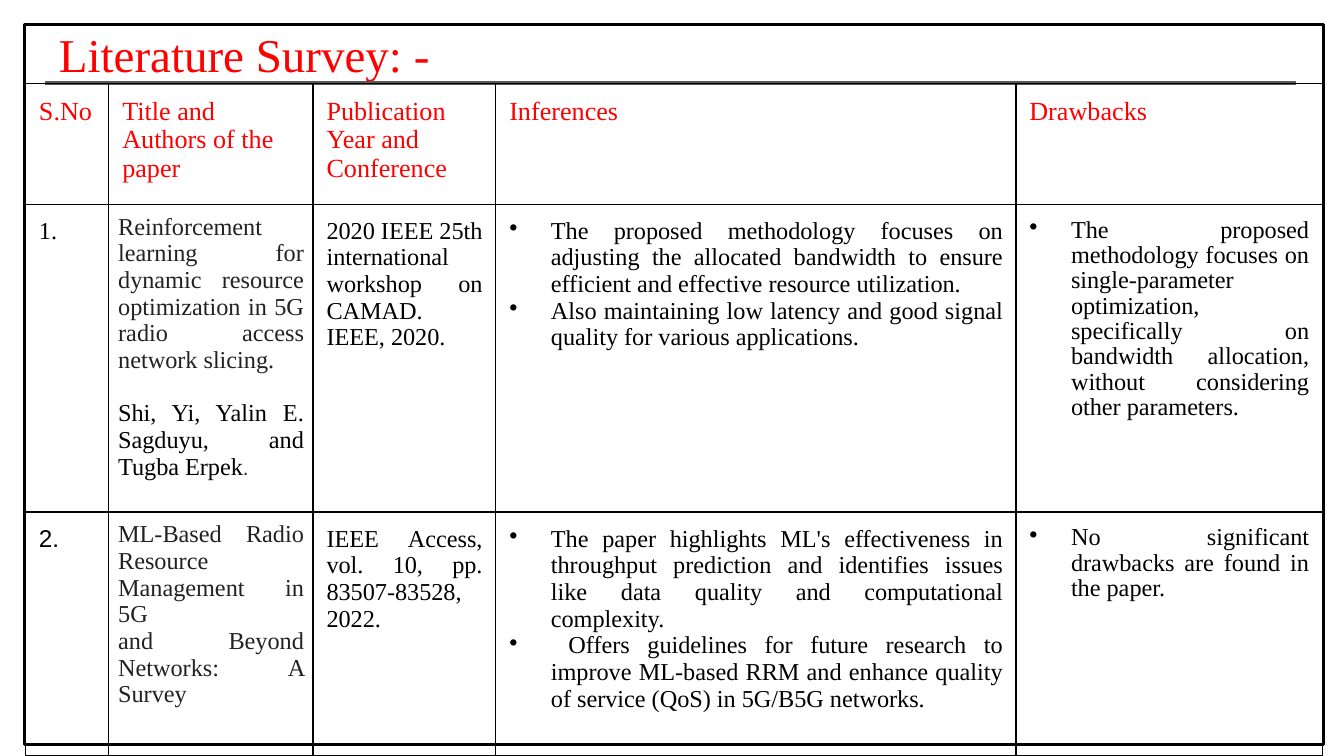
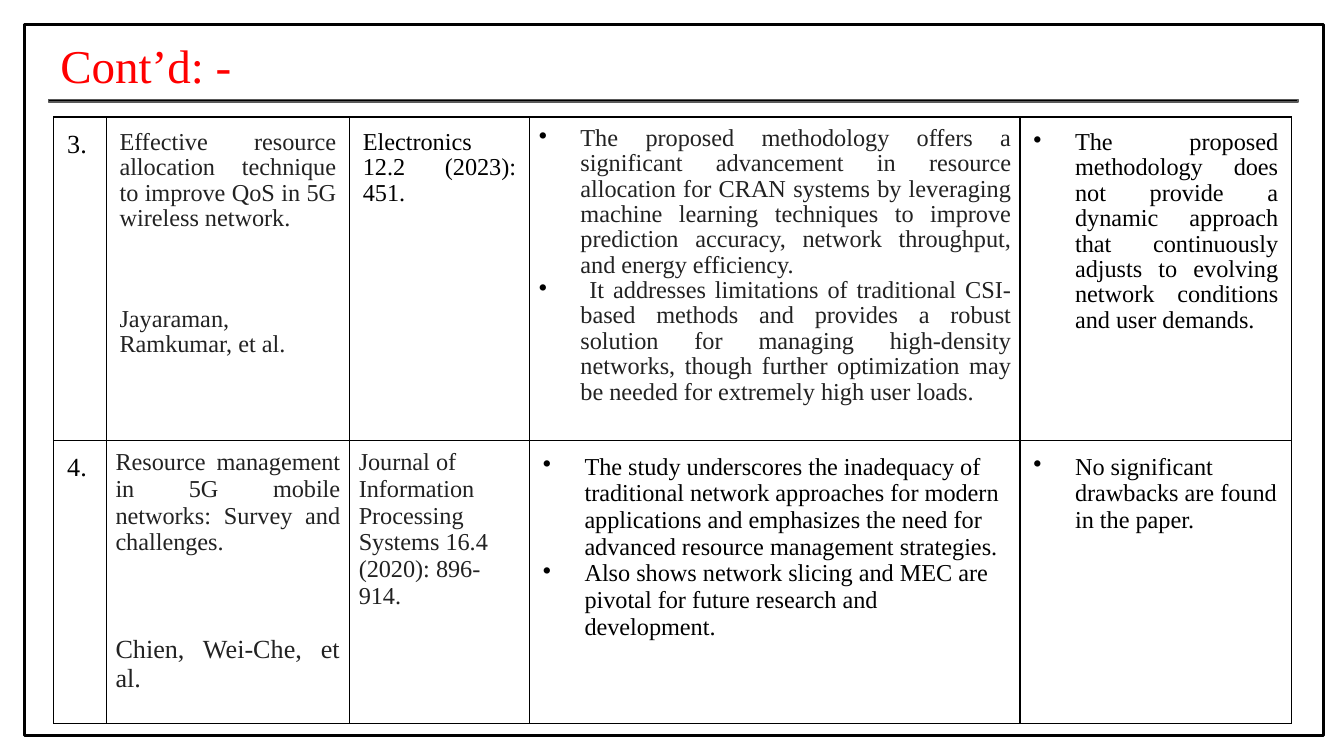
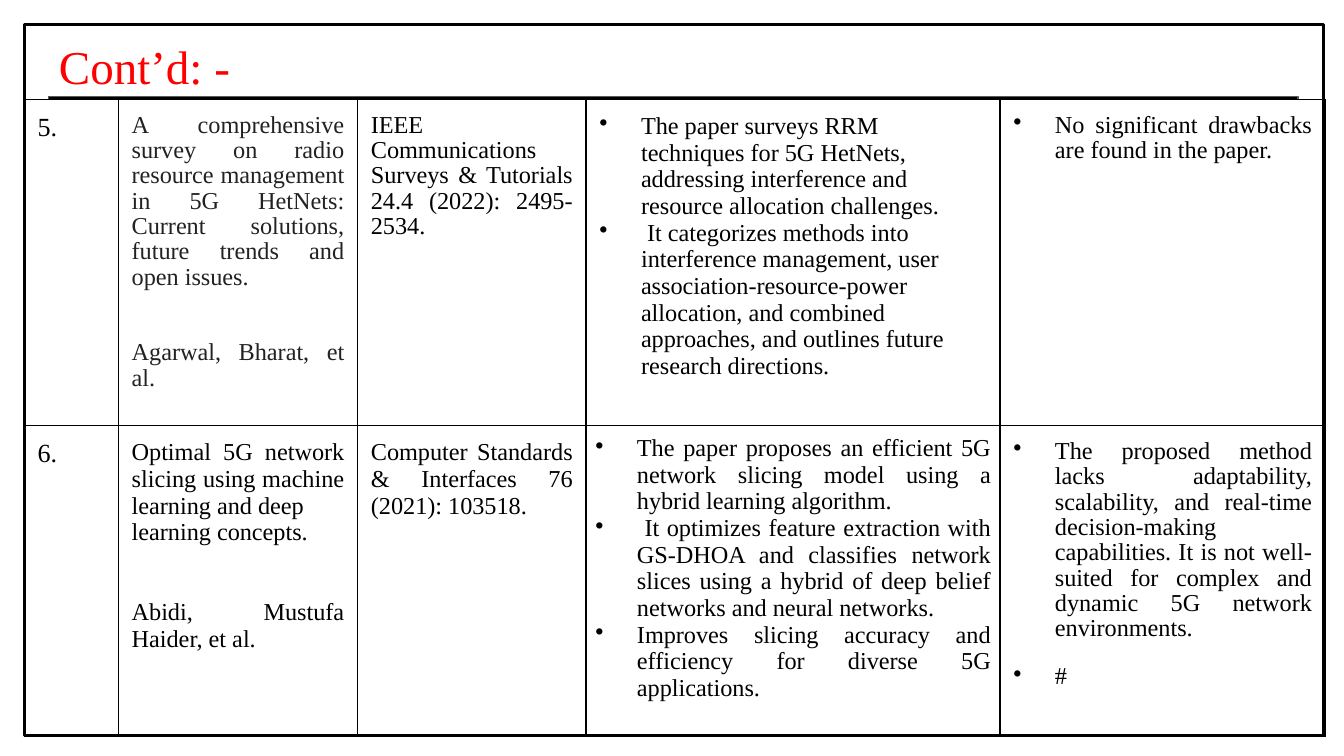
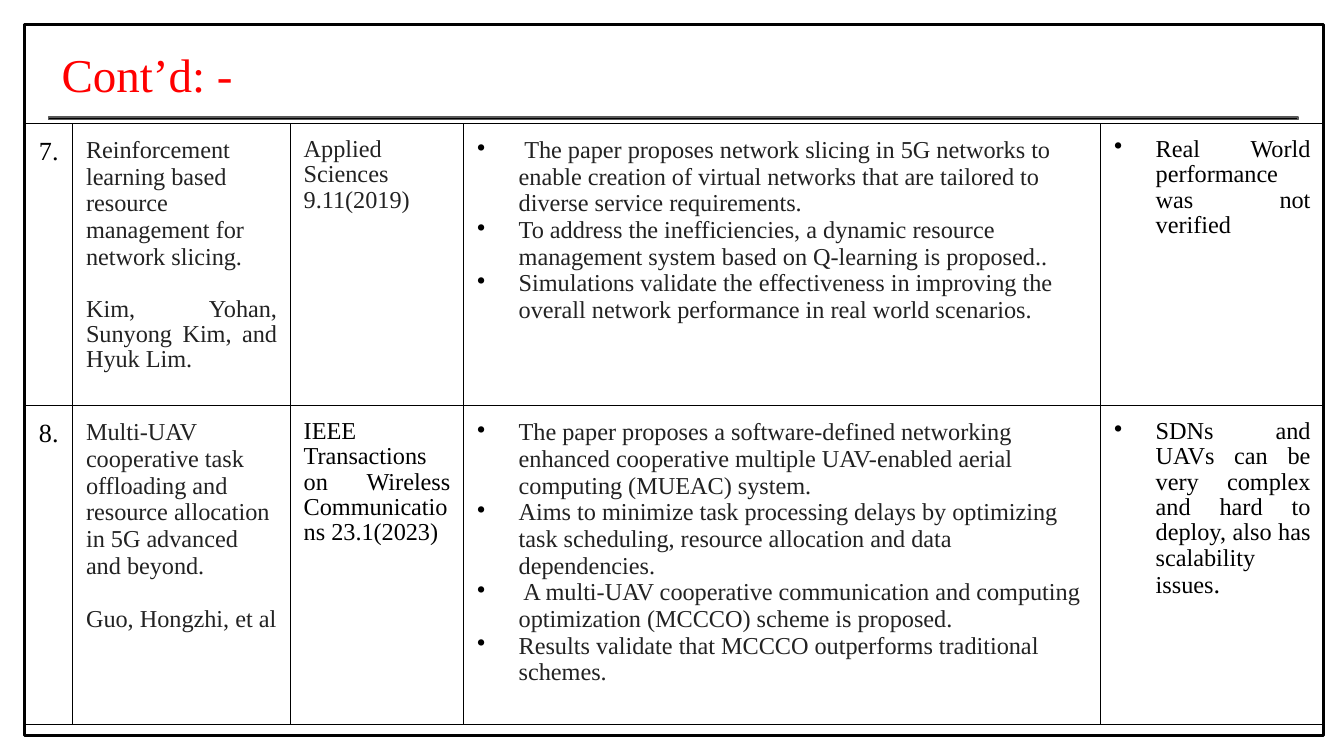
"""Build the four literature survey slides."""
import dataclasses
import functools

import lxml.etree
import pptx
import pptx.dml.color
import pptx.enum.shapes
import pptx.enum.text
import pptx.oxml.ns
import pptx.util

Inches = pptx.util.Inches
Pt = pptx.util.Pt
qn = pptx.oxml.ns.qn


@dataclasses.dataclass(frozen=True)
class Theme:
    serif: str = "Times New Roman"
    sans: str = "Arial"
    red: str = "FF0000"
    black: str = "000000"
    dark: str = "222222"
    grey: str = "595959"
    title: float = 25.2
    head: float = 14
    body: float = 13
    small: float = 11
    thin: float = 0.75
    thick: float = 1.5
    indent: float = 0.31
    tight: float = 0.95
    blank: float = 14.2
    after: float = 12


THEME = Theme()


@dataclasses.dataclass
class Cell:
    texts: list
    ink: str = THEME.black
    size: float = THEME.body
    font: str = THEME.serif
    pad: float = 0.1
    just: bool = False
    tight: bool = False
    dot: bool = False
    before: float = 0
    after: float = 0
    tail: tuple = ()
    last: dict = dataclasses.field(default_factory=dict)


Head = functools.partial(Cell, ink=THEME.red, size=THEME.head)
Num = functools.partial(Cell, size=THEME.head)
Just = functools.partial(Cell, just=True)
Tight = functools.partial(Just, tight=True)
Dots = functools.partial(Cell, dot=True)
Flush = functools.partial(Dots, just=True)
Flaw = functools.partial(Flush, tight=True, after=THEME.after)


def rgb(ink):
    return pptx.dml.color.RGBColor.from_string(ink)


def add(parent, tag, **attrs):
    return lxml.etree.SubElement(parent, qn(tag), attrs)


class Deck:
    def __init__(self, theme):
        self.theme = theme
        self.file = pptx.Presentation()
        self.file.slide_width = Inches(10)
        self.file.slide_height = Inches(10) * 9 // 16
        self.slide = None

    def start(self):
        self.slide = self.file.slides.add_slide(self.file.slide_layouts[6])

    def style(self, font, face, size, ink):
        font.name = face
        font.size = Pt(size)
        font.color.rgb = rgb(ink)

    def title(self, text, left, top):
        box = self.slide.shapes.add_textbox(
            Inches(left), Inches(top), Inches(9.32), Inches(0.63))
        frame = box.text_frame
        frame.word_wrap = True
        self.pad(frame, 0.1)
        frame.text = text
        self.style(frame.paragraphs[0].font, self.theme.serif,
                   self.theme.title, self.theme.red)

    def pad(self, item, size):
        for side in ("left", "top", "right", "bottom"):
            setattr(item, "margin_" + side, Inches(size))

    def box(self, left, top, width, height, ink, weight, fill=None):
        shape = self.slide.shapes.add_shape(
            pptx.enum.shapes.MSO_SHAPE.RECTANGLE, Inches(left), Inches(top),
            Inches(width), Inches(height))
        shape.shadow.inherit = False
        if fill:
            shape.fill.solid()
            shape.fill.fore_color.rgb = rgb(fill)
        else:
            shape.fill.background()
        shape.line.color.rgb = rgb(ink)
        shape.line.width = Pt(weight)

    def rule(self, left, top):
        self.box(left, top, 9.3, 0.02, self.theme.grey, self.theme.thin,
                 self.theme.black)

    def frame(self, height=5.29):
        self.box(0.18, 0.18, 9.67, height, self.theme.black, self.theme.thick)

    def table(self, left, top, cols, rows, cells):
        table = self.slide.shapes.add_table(
            len(rows), len(cols), Inches(left), Inches(top),
            Inches(sum(cols)), Inches(sum(rows))).table
        table.first_row = table.horz_banding = False
        for col, width in zip(table.columns, cols):
            col.width = Inches(width)
        for row, height, line in zip(table.rows, rows, cells):
            row.height = Inches(height)
            for cell, data in zip(row.cells, line):
                self.cell(cell, data)

    def cell(self, cell, data):
        self.pad(cell, data.pad)
        cell.fill.background()
        self.edge(cell)
        frame = cell.text_frame
        for i, text in enumerate(data.texts):
            para = frame.add_paragraph() if i else frame.paragraphs[0]
            end = i == len(data.texts) - 1
            look = dataclasses.replace(data, **data.last) if end else data
            self.para(para, text, look, look.tail if end else ())

    def edge(self, cell):
        props = cell._tc.get_or_add_tcPr()
        for i, side in enumerate("LRTB"):
            line = add(props, "a:ln" + side, w=str(Pt(self.theme.thin)))
            fill = add(line, "a:solidFill")
            add(fill, "a:srgbClr", val=self.theme.black)
            props.insert(i, line)

    def para(self, para, text, look, tail):
        para.text = text
        if look.just:
            para.alignment = pptx.enum.text.PP_ALIGN.JUSTIFY
        if look.tight:
            para.line_spacing = self.theme.tight
        if look.before:
            para.space_before = Pt(look.before)
        if look.after:
            para.space_after = Pt(look.after)
        if look.dot:
            self.dot(para)
        first = para.runs[0].font
        if tail:
            mark, size, face, ink = tail
            self.style(first, look.font, look.size, look.ink)
            run = para.add_run()
            run.text = mark
            self.style(run.font, face, size, ink)
        else:
            self.style(para.font, look.font, look.size, look.ink)
            first.size = Pt(look.size)
        add(para._p, "a:endParaRPr", sz=str(int(look.size * 100)))

    def dot(self, para):
        props = para._p.get_or_add_pPr()
        step = Inches(self.theme.indent)
        props.set("marL", str(step))
        props.set("indent", str(-step))
        add(add(props, "a:buClr"), "a:srgbClr", val=self.theme.black)
        add(props, "a:buChar", char="•")


def first(deck):
    t = deck.theme
    deck.start()
    deck.title("Literature Survey: -", 0.34, 0.09)
    deck.rule(0.34, 0.61)
    heads = ["S.No", "Title and Authors of the paper",
             "Publication Year and Conference", "Inferences", "Drawbacks"]
    deck.table(0.19, 0.62, [0.62, 1.52, 1.36, 3.87, 2.28], [0.87, 2.23, 1.81], [
        [Head([text]) for text in heads],
        [Cell(["1."]),
         Just(["Reinforcement learning for dynamic resource optimization in 5G radio access network slicing.",
               "Shi, Yi, Yalin E. Sagduyu, and Tugba Erpek"],
              ink=t.dark, pad=0.07, tail=(".", t.small, t.sans, t.dark),
              last={"ink": t.black, "before": t.blank}),
         Just(["2020 IEEE 25th international workshop on CAMAD. IEEE, 2020."]),
         Flush(["The proposed methodology focuses on adjusting the allocated bandwidth to ensure efficient and effective resource utilization.",
                "Also maintaining low latency and good signal quality for various applications."]),
         Flaw(["The proposed methodology focuses on single-parameter optimization, specifically on bandwidth allocation, without considering other parameters."])],
        [Cell(["2."], font=t.sans),
         Just(["ML-Based Radio Resource Management in 5G",
               "and Beyond Networks: A Survey"], ink=t.dark, pad=0.07),
         Just(["IEEE Access, vol. 10, pp. 83507-83528, 2022."]),
         Flush(["The paper highlights ML's effectiveness in throughput prediction and identifies issues like data quality and computational complexity.",
                " Offers guidelines for future research to improve ML-based RRM and enhance quality of service (QoS) in 5G/B5G networks."]),
         Flaw(["No significant drawbacks are found in the paper."])],
    ])
    deck.frame(5.36)


def second(deck):
    t = deck.theme
    deck.start()
    deck.title("Cont’d: -", 0.35, 0.17)
    deck.rule(0.36, 0.74)
    deck.table(0.4, 0.87, [0.39, 1.81, 1.34, 3.65, 2.02], [2.31, 2.11], [
        [Num(["3."]),
         Tight(["Effective resource allocation technique to improve QoS in 5G wireless network.",
                "Jayaraman, Ramkumar, et al."],
               ink=t.dark, last={"before": 3 * t.blank * t.tight}),
         Tight(["Electronics 12.2 (2023): 451."], after=t.after),
         Flush(["The proposed methodology offers a significant advancement in resource allocation for CRAN systems by leveraging machine learning techniques to improve prediction accuracy, network throughput, and energy efficiency.",
                " It addresses limitations of traditional CSI-based methods and provides a robust solution for managing high-density networks, though further optimization may be needed for extremely high user loads."],
               ink=t.dark, tight=True, pad=0.07),
         Flaw(["The proposed methodology does not provide a dynamic approach that continuously adjusts to evolving network conditions and user demands."])],
        [Num(["4."]),
         Just(["Resource management in 5G mobile networks: Survey and challenges.",
               "Chien, Wei-Che, et al."], ink=t.dark, pad=0.07,
              last={"size": t.head, "before": 3 * t.blank}),
         Cell(["Journal of Information Processing Systems 16.4 (2020): 896-914."],
              ink=t.dark, pad=0.07),
         Dots(["The study underscores the inadequacy of traditional network approaches for modern applications and emphasizes the need for advanced resource management strategies.",
               "Also shows network slicing and MEC are pivotal for future research and development."]),
         Dots(["No significant drawbacks are found in the paper."])],
    ])
    deck.frame()


def third(deck):
    t = deck.theme
    deck.start()
    deck.title("Cont’d: -", 0.34, 0.18)
    deck.rule(0.36, 0.72)
    deck.table(0.18, 0.74, [0.7, 1.78, 1.7, 3.08, 2.42], [2.3, 2.05], [
        [Num(["5."]),
         Tight(["A comprehensive survey on radio resource management in 5G HetNets: Current solutions, future trends and open issues.",
                "Agarwal, Bharat, et al."],
               ink=t.dark, last={"before": 2 * t.blank * t.tight}),
         Tight(["IEEE Communications Surveys & Tutorials 24.4 (2022): 2495-2534."],
               after=t.after),
         Dots(["The paper surveys RRM techniques for 5G HetNets, addressing interference and resource allocation challenges.",
               " It categorizes methods into interference management, user association-resource-power allocation, and combined approaches, and outlines future research directions."]),
         Flaw(["No significant drawbacks are found in the paper."])],
        [Num(["6."]),
         Just(["Optimal 5G network slicing using machine learning and deep",
               "learning concepts.", "Abidi, Mustufa Haider, et al."],
              last={"before": 2 * t.blank}),
         Tight(["Computer Standards & Interfaces 76 (2021): 103518."],
               tight=False, after=t.after),
         Flush(["The paper proposes an efficient 5G network slicing model using a hybrid learning algorithm.",
                " It optimizes feature extraction with GS-DHOA and classifies network slices using a hybrid of deep belief networks and neural networks.",
                "Improves slicing accuracy and efficiency for diverse 5G applications."],
               pad=0.07),
         Flaw(["The proposed method lacks adaptability, scalability, and real-time decision-making capabilities. It is not well-suited for complex and dynamic 5G network environments.",
               "#"])],
    ])
    deck.frame()


def fourth(deck):
    t = deck.theme
    deck.start()
    deck.title("Cont’d: -", 0.36, 0.24)
    deck.rule(0.36, 0.87)
    deck.table(0.19, 0.92, [0.35, 1.62, 1.29, 4.74, 1.66], [2.05, 2.33], [
        [Num(["7."]),
         Cell(["Reinforcement learning based resource management for network slicing.",
               "Kim, Yohan, Sunyong Kim, and Hyuk Lim."], ink=t.dark,
              last={"just": True, "tight": True, "before": t.blank}),
         Tight(["Applied Sciences 9.11(2019)"], ink=t.dark),
         Dots([" The paper proposes network slicing in 5G networks to enable creation of virtual networks that are tailored to diverse service requirements.",
               "To address the inefficiencies, a dynamic resource management system based on Q-learning is proposed..",
               "Simulations validate the effectiveness in improving the overall network performance in real world scenarios."],
              ink=t.dark),
         Flaw(["Real World performance was not verified"])],
        [Num(["8."]),
         Cell(["Multi-UAV cooperative task offloading and resource allocation in 5G advanced and beyond.",
               "Guo, Hongzhi, et al"], ink=t.dark, last={"before": t.blank}),
         Tight(["IEEE Transactions on Wireless Communications 23.1(2023)"],
               after=t.after),
         Dots(["The paper proposes a software-defined networking enhanced cooperative multiple UAV-enabled aerial computing (MUEAC) system.",
               "Aims to minimize task processing delays by optimizing task scheduling, resource allocation and data dependencies.",
               " A multi-UAV cooperative communication and computing optimization (MCCCO) scheme is proposed.",
               "Results validate that MCCCO outperforms traditional schemes."],
              ink=t.dark),
         Flaw(["SDNs and UAVs can be very complex and hard to deploy, also has scalability issues"],
              tail=(".", t.head, t.serif, t.black))],
    ])
    deck.frame()


def main():
    deck = Deck(THEME)
    for build in (first, second, third, fourth):
        build(deck)
    deck.file.save("out.pptx")


if __name__ == "__main__":
    main()
